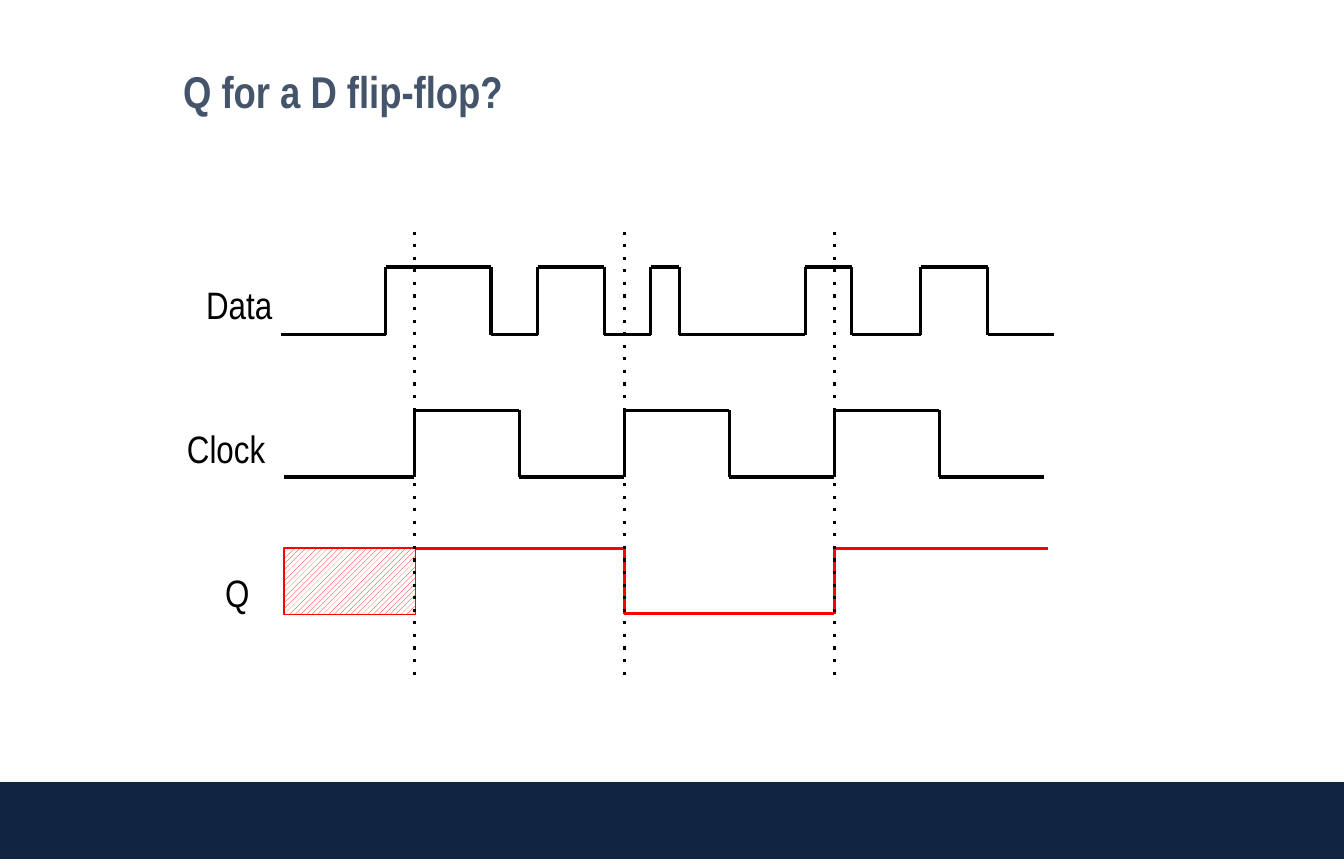
from itertools import pairwise

from lxml import etree
from pptx import Presentation
from pptx.dml.color import RGBColor
from pptx.enum import dml, shapes, text
from pptx.oxml import ns
from pptx.util import Cm, Pt

BLACK = RGBColor(0x00, 0x00, 0x00)
WHITE = RGBColor(0xFF, 0xFF, 0xFF)
RED = RGBColor(0xFF, 0x00, 0x00)
SLATE = RGBColor(0x44, 0x54, 0x6A)
NAVY = RGBColor(0x10, 0x25, 0x3F)

PAGE_WIDTH, PAGE_HEIGHT = 33.78, 21.59
FOOTER_TOP = 19.66

# Clock edges are evenly spaced; every second one is a rising edge.
START = 7.14
FIRST_EDGE, HALF_PERIOD = 10.41, 2.64
CLOCK_EDGES = [FIRST_EDGE + HALF_PERIOD * step for step in range(7)]
RISING_EDGES = CLOCK_EDGES[:-1:2]
DATA_EDGES = [7.06, 9.7, 12.34, 13.51, 15.19, 16.36,
              17.07, 20.24, 21.41, 23.14, 24.82, 26.49]


class TimingSlide:
    font_name = "Arial Narrow"
    line_width = Pt(2.25)

    def __init__(self, deck):
        self.page = deck.slides.add_slide(deck.slide_layouts[5])

    def set_text(self, box, words, size, color, bold=False):
        frame = box.text_frame
        frame.text = words
        frame.auto_size = text.MSO_AUTO_SIZE.NONE
        frame.margin_left = frame.margin_right = Cm(0.28)
        frame.margin_top = frame.margin_bottom = Cm(0.15)
        para = frame.paragraphs[0]
        para.alignment = text.PP_ALIGN.LEFT
        para.font.name = self.font_name
        para.font.size = Pt(size)
        para.font.bold = bold
        para.font.color.rgb = color
        return frame

    def title(self, words):
        box = self.page.shapes.title
        box.left, box.top, box.width, box.height = Cm(4.32), Cm(0.97), Cm(25.2), Cm(2.64)
        frame = self.set_text(box, words, 31.7, SLATE, bold=True)
        frame.vertical_anchor = text.MSO_ANCHOR.MIDDLE

    def label(self, words, left, top, width):
        box = self.page.shapes.add_textbox(Cm(left), Cm(top), Cm(width), Cm(1.45))
        self.set_text(box, words, 27.2, BLACK).word_wrap = False

    def rectangle(self, left, top, width, height):
        box = self.page.shapes.add_shape(
            shapes.MSO_SHAPE.RECTANGLE, Cm(left), Cm(top), Cm(width), Cm(height))
        box.shadow.inherit = False
        return box

    def footer(self):
        band = self.rectangle(0, FOOTER_TOP, PAGE_WIDTH, PAGE_HEIGHT - FOOTER_TOP)
        band.fill.solid()
        band.fill.fore_color.rgb = NAVY
        band.line.fill.background()
        effects = band._element.spPr.find(ns.qn("a:effectLst"))
        shadow = etree.SubElement(effects, ns.qn("a:outerShdw"), blurRad=str(Pt(3.1)),
                                  dist=str(Pt(1.8)), dir="5400000", rotWithShape="0")
        tint = etree.SubElement(shadow, ns.qn("a:srgbClr"), val="808080")
        etree.SubElement(tint, ns.qn("a:alpha"), val="35000")

    def unknown_state(self, left, top, width, height):
        """Hatched area where the output is not yet defined."""
        box = self.rectangle(left, top, width, height)
        box.fill.patterned()
        box.fill.pattern = dml.MSO_PATTERN.WIDE_UPWARD_DIAGONAL
        box.fill.fore_color.rgb = RED
        box.fill.back_color.rgb = WHITE
        box.line.color.rgb = RED
        box.line.width = Pt(1)

    def line(self, x1, y1, x2, y2, color=BLACK, dotted=False):
        line = self.page.shapes.add_connector(
            shapes.MSO_CONNECTOR.STRAIGHT, Cm(x1), Cm(y1), Cm(x2), Cm(y2))
        line.line.color.rgb = color
        line.line.width = self.line_width
        properties = line._element.spPr
        if dotted:
            outline = properties.find(ns.qn("a:ln"))
            etree.SubElement(outline, ns.qn("a:prstDash"), val="dot")
        etree.SubElement(properties, ns.qn("a:effectLst"))

    def wave(self, edges, first, second, color=BLACK):
        """Square wave whose level alternates from first to second at each edge."""
        for index, (left, right) in enumerate(pairwise(edges)):
            level = second if index % 2 else first
            self.line(left, level, right, level, color)
        for edge in edges[1:-1]:
            self.line(edge, min(first, second), edge, max(first, second), color)


def main():
    deck = Presentation()
    deck.slide_width, deck.slide_height = Cm(PAGE_WIDTH), Cm(PAGE_HEIGHT)
    slide = TimingSlide(deck)
    slide.footer()
    slide.title("Q for a D flip-flop?")

    slide.label("Data", 4.9, 6.93, 2.26)
    slide.label("Clock", 4.42, 10.54, 2.57)
    slide.label("Q", 5.38, 14.15, 1.19)

    slide.wave(DATA_EDGES, first=8.41, second=6.71)
    slide.wave([START, *CLOCK_EDGES], first=11.99, second=10.31)
    slide.wave([*RISING_EDGES, 26.34], first=13.79, second=15.42, color=RED)
    slide.unknown_state(START, 13.77, 3.3, 1.68)
    for edge in RISING_EDGES:
        slide.line(edge, 5.82, edge, 17.07, dotted=True)

    deck.save("out.pptx")


if __name__ == "__main__":
    main()
